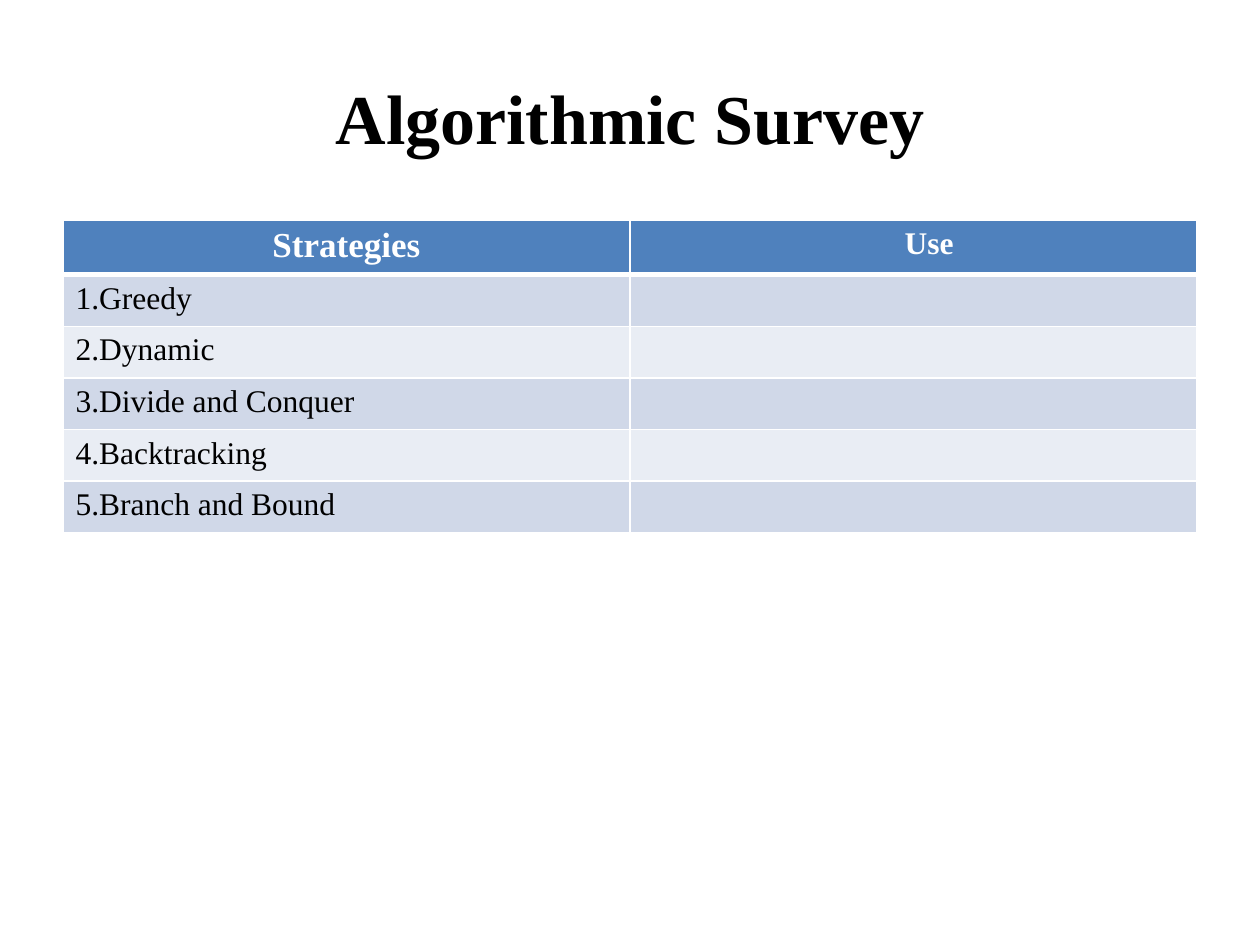
from lxml import etree
from pptx import Presentation, util as u
from pptx.dml.color import RGBColor
from pptx.enum import text
from pptx.oxml.ns import qn

TITLE = "Algorithmic Survey"
HEADERS = [("Strategies", 20), ("Use", 18)]
STRATEGIES = ["Greedy", "Dynamic", "Divide and Conquer", "Backtracking", "Branch and Bound"]
FONT = "Times New Roman"
WHITE, BLACK, BLUE = "FFFFFF", "000000", "4F81BD"
BANDS = ["D0D8E8", "E9EDF4"]


def px(n):
    return u.Inches(n / 126)


def rgb(value):
    return RGBColor.from_string(value)


def write(tf, words, size, color, bold=False, align=None):
    tf.text = words
    p = tf.paragraphs[0]
    p.alignment = align
    for r in p.runs:
        r.font.name, r.font.size, r.font.bold = FONT, u.Pt(size), bold
        r.font.color.rgb = rgb(color)


def style_cell(cell, fill, bottom=1, top=1):
    # Borders come before the fill in the cell properties
    tcPr = cell._tc.get_or_add_tcPr()
    for side, width in (("L", 1), ("R", 1), ("T", top), ("B", bottom)):
        ln = etree.SubElement(tcPr, qn("a:ln" + side), w=str(u.Pt(width)))
        solid = etree.SubElement(ln, qn("a:solidFill"))
        etree.SubElement(solid, qn("a:srgbClr"), val=WHITE)
    cell.fill.solid()
    cell.fill.fore_color.rgb = rgb(fill)


prs = Presentation()
prs.slide_width, prs.slide_height = px(1260), px(945)
s = prs.slides.add_slide(prs.slide_layouts[6])

# Title
tf = s.shapes.add_textbox(px(63), px(38), px(1134), px(157)).text_frame
tf.word_wrap = True
tf.vertical_anchor = text.MSO_ANCHOR.MIDDLE
write(tf, TITLE, 40, BLACK, True, text.PP_ALIGN.CENTER)

# Table
table = s.shapes.add_table(len(STRATEGIES) + 1, len(HEADERS),
                           px(63), px(220), px(1134), px(310)).table
for col, (words, size) in enumerate(HEADERS):
    cell = table.cell(0, col)
    style_cell(cell, BLUE, bottom=3)
    write(cell.text_frame, words, size, WHITE, True, text.PP_ALIGN.CENTER)
table.cell(0, 1).margin_left = px(44)  # "Use" sits right of centre

for row, name in enumerate(STRATEGIES, 1):
    for col in range(len(HEADERS)):
        style_cell(table.cell(row, col), BANDS[(row - 1) % 2], top=3 if row == 1 else 1)
    write(table.cell(row, 0).text_frame, f"{row}.{name}", 18, BLACK)

prs.save("out.pptx")
